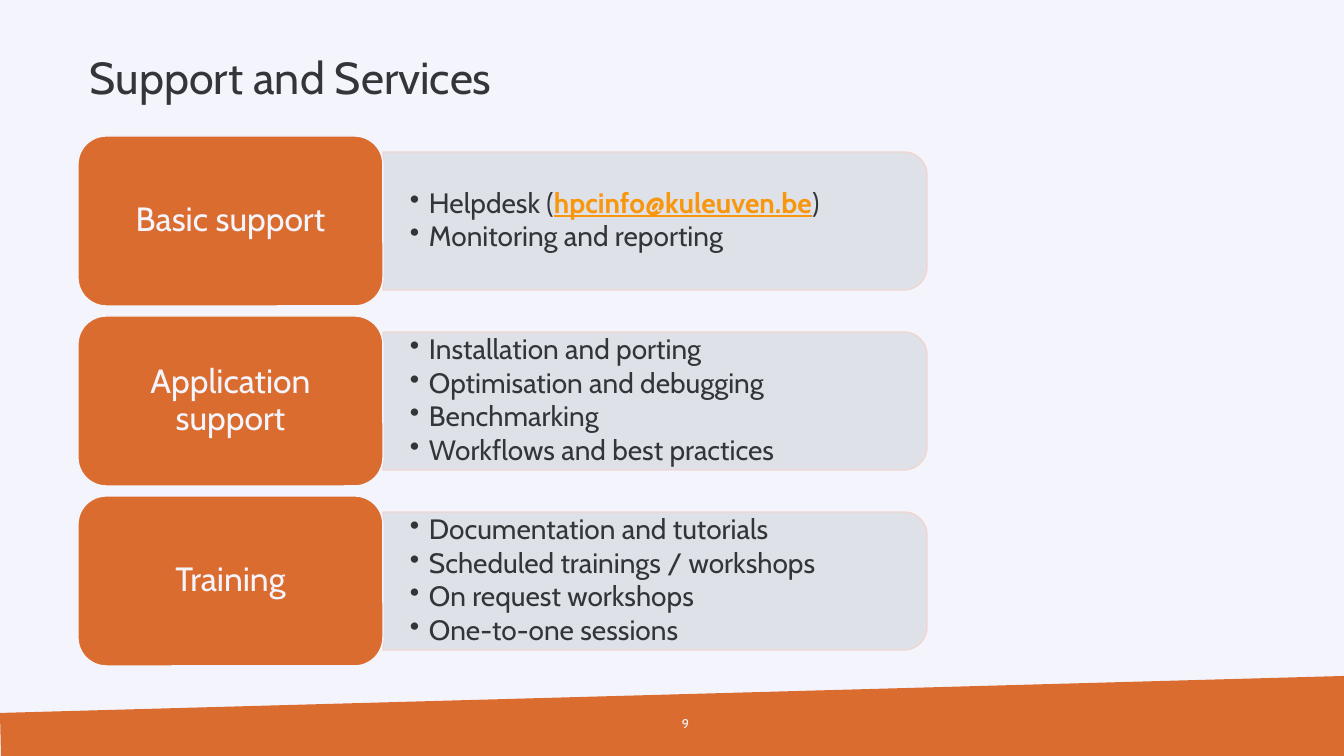
from dataclasses import dataclass

from lxml.etree import SubElement
from pptx import Presentation
from pptx.dml.color import RGBColor as Rgb
from pptx.enum.shapes import MSO_SHAPE as Kind
from pptx.enum.text import MSO_ANCHOR as Anchor, PP_ALIGN as Align
from pptx.oxml.ns import qn
from pptx.util import Pt

SCALE = 914400 / 100.8
WIDE, HIGH = 1344, 756


@dataclass(frozen=True)
class Theme:
    font: str = "Cabin"
    page: str = "F4F5FC"
    brand: str = "DB6C30"
    panel: str = "DCE0E6"
    edge: str = "F1D4CD"
    ink: str = "333639"
    link: str = "F8960D"
    title: int = 32
    label: int = 24
    body: int = 20
    note: int = 9


def px(*nums):
    return [round(num * SCALE) for num in nums]


def apply(item, values):
    for name, value in values.items():
        setattr(item, name, value)


def fade(fill, percent):
    """Set the opacity of a solid fill."""
    color = fill._xPr.find(qn("a:solidFill"))[0]
    SubElement(color, qn("a:alpha"), val=str(percent * 1000))


class Deck:
    def __init__(self, theme):
        self.theme = theme
        self.file = Presentation()
        self.file.slide_width, self.file.slide_height = px(WIDE, HIGH)
        self.slide = self.file.slides.add_slide(self.file.slide_layouts[6])
        self.shapes = self.slide.shapes
        self.paint(self.slide.background.fill, theme.page)

    def paint(self, fill, color):
        fill.solid()
        fill.fore_color.rgb = Rgb.from_string(color)

    def style(self, shape, fill, line=None):
        shape.shadow.inherit = False
        self.paint(shape.fill, fill)
        if line:
            self.paint(shape.line.fill, line)
            shape.line.width = Pt(1)
        else:
            shape.line.fill.background()
        return shape

    def shape(self, kind, box, fill, line):
        return self.style(self.shapes.add_shape(kind, *px(*box)), fill, line)

    def outline(self, points, fill):
        form = self.shapes.build_freeform(*points[0], scale=SCALE)
        form.add_line_segments(points[1:], close=True)
        return self.style(form.convert_to_shape(), fill)

    def frame(self, shape, pad):
        """Set up the text frame; pad is the side and top inset."""
        side, top = px(*pad)
        apply(shape.text_frame, dict(
            word_wrap=True, vertical_anchor=Anchor.MIDDLE,
            margin_left=side, margin_right=side,
            margin_top=top, margin_bottom=top))
        return shape.text_frame

    def add_run(self, para, text, size, color, **look):
        run = para.add_run()
        run.text = text
        apply(run.font, dict(name=self.theme.font, size=Pt(size), **look))
        run.font.color.rgb = Rgb.from_string(color)

    def text(self, box, words, size, color, align=Align.LEFT):
        shape = self.shapes.add_textbox(*px(*box))
        para = self.frame(shape, (10, 5)).paragraphs[0]
        apply(para, dict(alignment=align, line_spacing=0.9))
        self.add_run(para, words, size, color)

    def card(self, box, words):
        look = self.theme
        shape = self.shape(Kind.ROUNDED_RECTANGLE, box, look.brand, look.page)
        para = self.frame(shape, (18, 14)).paragraphs[0]
        apply(para, dict(alignment=Align.CENTER, line_spacing=0.9))
        self.add_run(para, words, look.label, look.page)

    def panel(self, left, top, width, height):
        """Draw a panel that is rounded on its right side only."""
        shift = (width - height) / 2
        box = left + shift, top - shift, height, width
        shape = self.shape(Kind.ROUND_2_SAME_RECTANGLE, box,
                           self.theme.panel, self.theme.edge)
        shape.rotation = 90
        fade(shape.fill, 90)
        fade(shape.line.fill, 90)

    def bullets(self, box, items):
        """Fill a list; each item is a row of (text, is link) parts."""
        look = self.theme
        frame = self.frame(self.shapes.add_textbox(*px(*box)), (27, 14))
        for index, parts in enumerate(items):
            para = frame.add_paragraph() if index else frame.paragraphs[0]
            apply(para, dict(line_spacing=0.9, space_after=Pt(2.5)))
            props = para._p.get_or_add_pPr()
            dent, = px(19)
            props.set("marL", str(dent))
            props.set("indent", str(-dent))
            SubElement(props, qn("a:buChar"), char="•")
            for words, link in parts:
                self.add_run(para, words, look.body,
                             look.link if link else look.ink,
                             bold=link, underline=link)


def plain(*lines):
    return [[(line, False)] for line in lines]


ROWS = [
    ("Basic support",
     [[("Helpdesk (", False), ("hpcinfo@kuleuven.be", True), (")", False)],
      *plain("Monitoring and reporting")]),
    ("Application support",
     plain("Installation and porting", "Optimisation and debugging",
           "Benchmarking", "Workflows and best practices")),
    ("Training",
     plain("Documentation and tutorials", "Scheduled trainings / workshops",
           "On request workshops", "One-to-one sessions")),
]


def main():
    theme = Theme()
    deck = Deck(theme)
    deck.outline([(0, 713), (WIDE, 676), (WIDE, HIGH), (1, HIGH)], theme.brand)
    deck.text((644, 704, 55, 40), "9", theme.note, theme.page, Align.RIGHT)
    deck.text((80, 36, 1225, 88), "Support and Services",
              theme.title, theme.ink)

    left, first, step = 78, 136, 180
    width, height = 305, 170
    inset, edge = 16, left + width
    for index, (label, items) in enumerate(ROWS):
        top = first + index * step
        deck.panel(edge, top + inset, 544, height - 2 * inset)
        deck.bullets((edge, top + 23, 537, 124), items)
        deck.card((left, top, width, height), label)

    deck.file.save("out.pptx")


if __name__ == "__main__":
    main()
